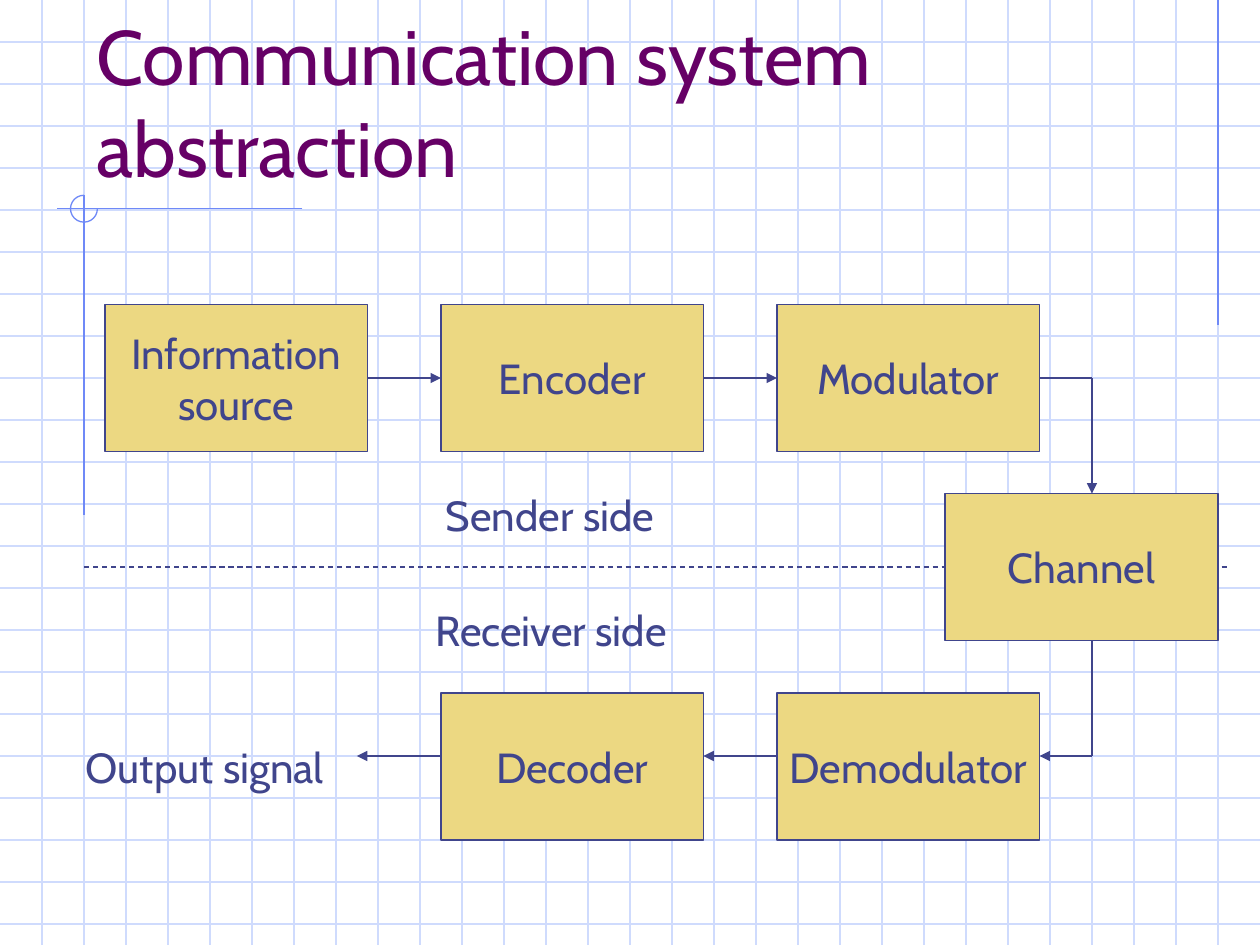
import lxml.etree
import pptx
import pptx.dml.color
import pptx.enum.dml
import pptx.enum.shapes
import pptx.enum.text
import pptx.oxml.ns
import pptx.util

COLUMNS, ROWS = 30, 22.5
INK, FILL, TITLE, GRID, ACCENT = "40458C", "ECD882", "660066", "CFDBFD", "6F89F7"
hue = pptx.dml.color.RGBColor.from_string
qn = pptx.oxml.ns.qn
shape_kind = pptx.enum.shapes.MSO_SHAPE
align = pptx.enum.text.PP_ALIGN
anchor = pptx.enum.text.MSO_ANCHOR

deck = pptx.Presentation()
deck.slide_width = pptx.util.Inches(10)
deck.slide_height = pptx.util.Inches(7.5)
cell = deck.slide_width // COLUMNS
page = deck.slides.add_slide(deck.slide_layouts[5])


def write(frame, text, size=24, color=INK, alignment=align.LEFT, vertical=anchor.TOP, wrap=False):
    frame.word_wrap = wrap
    frame.auto_size = pptx.enum.text.MSO_AUTO_SIZE.NONE
    frame.vertical_anchor = vertical
    frame.text = text
    for para in frame.paragraphs:
        para.alignment = alignment
        para.font.name = "Cabin"
        para.font.size = pptx.util.Pt(size)
        para.font.color.rgb = hue(color)


def draw_line(x1, y1, x2, y2, color=INK, arrow=False):
    ends = [round(value * cell) for value in (x1, y1, x2, y2)]
    line = page.shapes.add_connector(pptx.enum.shapes.MSO_CONNECTOR.STRAIGHT, *ends)
    line.line.color.rgb = hue(color)
    line.line.width = pptx.util.Pt(0.75)
    if arrow:
        lxml.etree.SubElement(line.line._get_or_add_ln(), qn("a:tailEnd"), type="triangle")
    lxml.etree.SubElement(line._element.spPr, qn("a:effectLst"))
    return line


for row in range(1, int(ROWS) + 1):
    draw_line(0, row, COLUMNS, row, GRID)
for column in range(1, COLUMNS):
    draw_line(column, 0, column, ROWS, GRID)

draw_line(29, 0, 29, 7.75, ACCENT)
draw_line(7.2, 4.97, 1.35, 4.97, ACCENT)
draw_line(2, 4.65, 2, 12.27, ACCENT)
ring = page.shapes.add_shape(
    shape_kind.ARC, *[round(value * cell) for value in (1.68, 4.65, 0.64, 0.64)])
ring.adjustments[0] = 0
ring.adjustments[1] = 162
ring.shadow.inherit = False
ring.fill.background()
ring.line.color.rgb = hue(ACCENT)
ring.line.width = pptx.util.Pt(0.75)

divider = draw_line(2, 13.5, 29.25, 13.5)
divider.line.dash_style = pptx.enum.dml.MSO_LINE.DASH

title = page.shapes.title
title.left, title.top, title.width, title.height = [
    round(value * cell) for value in (2, 1, 25.5, 3.75)]
write(title.text_frame, "Communication system abstraction", size=44, color=TITLE,
      vertical=anchor.BOTTOM, wrap=True)
page.shapes._spTree.append(title._element)

first, step, width, height = 2.5, 8, 6.25, 3.5
sender_top, receiver_top = 7.25, 16.5
stages = [
    ("Information\nsource", first, sender_top, width),
    ("Encoder", first + step, sender_top, width),
    ("Modulator", first + 2 * step, sender_top, width),
    ("Channel", 22.5, 11.75, 6.5),
    ("Decoder", first + step, receiver_top, width),
    ("Demodulator", first + 2 * step, receiver_top, width),
]
boxes = {}
for name, left, top, across in stages:
    box = page.shapes.add_shape(
        shape_kind.RECTANGLE, *[round(value * cell) for value in (left, top, across, height)])
    box.shadow.inherit = False
    box.fill.solid()
    box.fill.fore_color.rgb = hue(FILL)
    box.line.color.rgb = hue(INK)
    box.line.width = pptx.util.Pt(0.75)
    write(box.text_frame, name, alignment=align.CENTER, vertical=anchor.MIDDLE)
    boxes[name] = box

sender_row, receiver_row, turn = 9, 18, 26
sender_chain = [name for name, left, top, across in stages[:3]]
for index, (source, target) in enumerate(zip(sender_chain, sender_chain[1:])):
    start = first + width + index * step
    link = draw_line(start, sender_row, start + step - width, sender_row, arrow=True)
    link.begin_connect(boxes[source], 3)
    link.end_connect(boxes[target], 1)

link = draw_line(first + 2 * step + width, sender_row, turn, sender_row)
link.begin_connect(boxes["Modulator"], 3)
draw_line(turn, sender_row, turn, 11.75, arrow=True)
draw_line(turn, 11.75 + height, turn, receiver_row)
for start, end in [(turn, 24.75), (18.5, 16.75), (10.5, 8.5)]:
    draw_line(start, receiver_row, end, receiver_row, arrow=True)

labels = [
    ("Output signal", 1.75, 17.5, 7),
    ("Sender side", 10.32, 11.5, 6.1),
    ("Receiver side", 10.08, 14.25, 6.75),
]
for text, left, top, across in labels:
    label = page.shapes.add_textbox(*[round(value * cell) for value in (left, top, across, 1.5)])
    write(label.text_frame, text)

deck.save("out.pptx")
